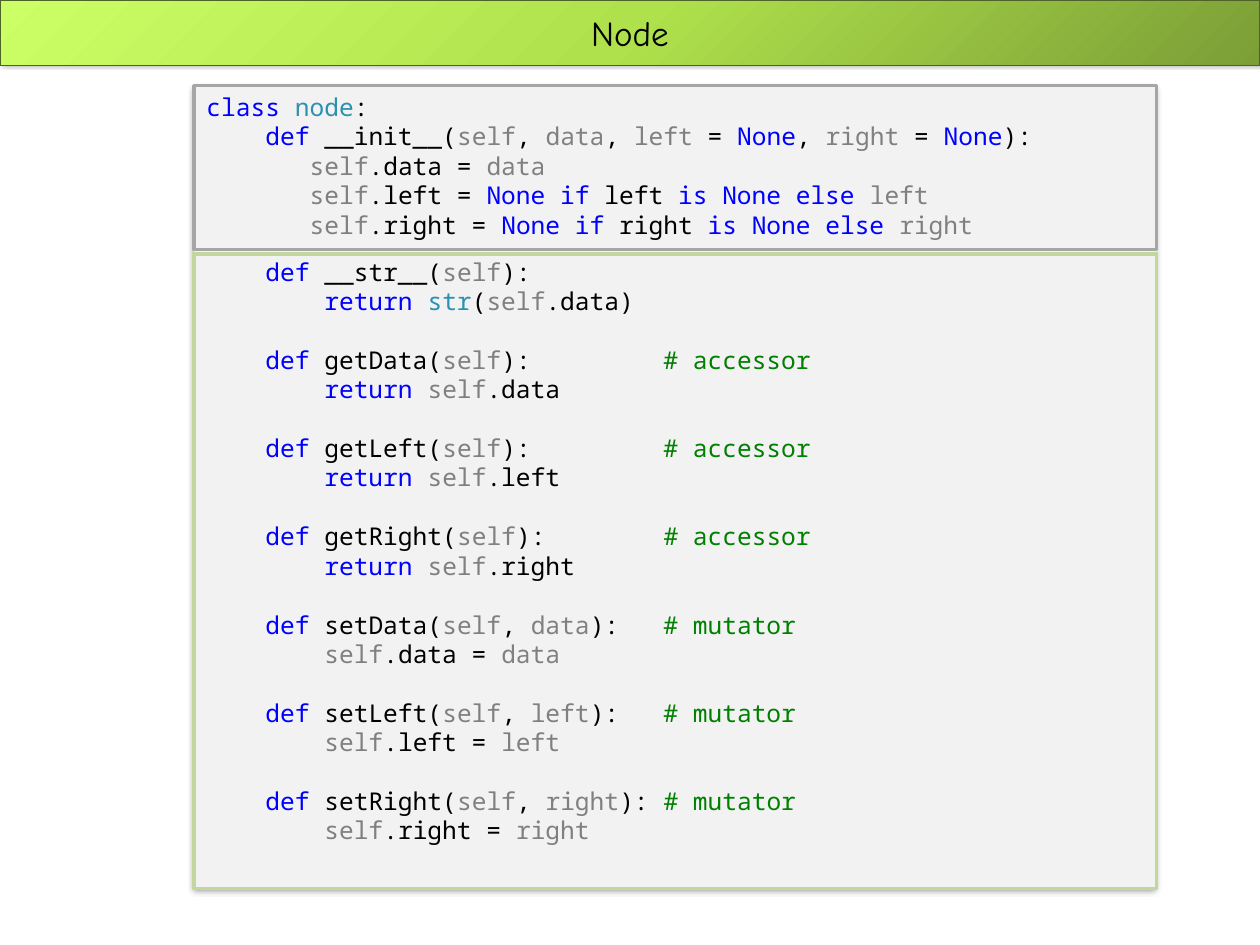
"""Build a slide that shows the Node class with its accessors and mutators."""
from pptx import Presentation
from pptx.dml.color import RGBColor
from pptx.enum.shapes import MSO_SHAPE as SHAPE
from pptx.enum.text import MSO_ANCHOR as ANCHOR, PP_ALIGN as ALIGN
from pptx.oxml import parse_xml
from pptx.oxml.ns import nsdecls
from pptx.util import Pt

BLACK, BLUE, GRAY, TEAL, GREEN = "000000", "0000FF", "808080", "2B91AF", "008000"
LINE_HEIGHT = 16.8
COMMENT_COLUMN = 31


def color(value):
    return RGBColor.from_string(value)


def add_box(left, top, width, height, fill=None, line=None, weight=2, shadow=None):
    box = slide.shapes.add_shape(SHAPE.RECTANGLE, Pt(left), Pt(top), Pt(width), Pt(height))
    box.shadow.inherit = False
    if fill:
        box.fill.solid()
        box.fill.fore_color.rgb = color(fill)
    else:
        box.fill.background()
    if line:
        box.line.color.rgb = color(line)
        box.line.width = Pt(weight)
    else:
        box.line.fill.background()
    if shadow:
        alpha, blur, distance, angle = shadow
        box._element.spPr.find("{*}effectLst").append(parse_xml(
            f'<a:outerShdw {nsdecls("a")} blurRad="{Pt(blur)}" dist="{Pt(distance)}" '
            f'dir="{angle * 60000}" algn="ctr" rotWithShape="0"><a:srgbClr val="000000">'
            f'<a:alpha val="{alpha * 1000}"/></a:srgbClr></a:outerShdw>'))
    return box


deck = Presentation()
deck.slide_width, deck.slide_height = Pt(720), Pt(540)
slide = deck.slides.add_slide(deck.slide_layouts[6])

title = add_box(0, 0, 720, 37.6, "AFE14C", "4F6228", 0.75, (40, 4, 3, 315))
stops = "".join(f'<a:gs pos="{position * 1000}"><a:srgbClr val="{value}"/></a:gs>'
                for position, value in [(0, "7B9E36"), (50, "AFE14C"), (100, "CCFF66")])
plain_fill = title._element.spPr.find("{*}solidFill")
plain_fill.addnext(parse_xml(
    f'<a:gradFill {nsdecls("a")} rotWithShape="1"><a:gsLst>{stops}</a:gsLst>'
    '<a:path path="circle"><a:fillToRect l="100000" t="100000"/></a:path></a:gradFill>'))
title._element.spPr.remove(plain_fill)
title.text_frame.vertical_anchor = ANCHOR.MIDDLE
heading = title.text_frame.paragraphs[0]
heading.text = "Node"
heading.alignment = ALIGN.CENTER
heading.font.name, heading.font.size = "Comic Neue", Pt(20)
heading.font.color.rgb = color(BLACK)

constructor = [
    [("class ", BLUE), ("node", TEAL), (":", BLACK)],
    [("    ", BLACK), ("def", BLUE), (" __init__(", BLACK), ("self", GRAY), (", ", BLACK),
     ("data", GRAY), (", ", BLACK), ("left", GRAY), (" = ", BLACK), ("None", BLUE),
     (", ", BLACK), ("right", GRAY), (" = ", BLACK), ("None", BLUE), ("):", BLACK)],
    [("       ", BLACK), ("self", GRAY), (".data = ", BLACK), ("data", GRAY)],
]
for side in ("left", "right"):
    constructor.append([
        ("       ", BLACK), ("self", GRAY), (f".{side} = ", BLACK), ("None if", BLUE),
        (f" {side} ", BLACK), ("is None else ", BLUE), (side, GRAY)])

methods = [[
    [("    ", BLACK), ("def", BLUE), (" __str__(", BLACK), ("self", GRAY), ("):", BLACK)],
    [("        ", BLACK), ("return ", BLUE), ("str", TEAL), ("(", BLACK), ("self", GRAY),
     (".data)", BLACK)],
]]
for prefix, role in (("get", "# accessor"), ("set", "# mutator")):
    for field in ("data", "left", "right"):
        signature = [("    ", BLACK), ("def ", BLUE), (f"{prefix}{field.title()}(", BLACK),
                     ("self", GRAY)]
        if prefix == "get":
            body = [("        ", BLACK), ("return ", BLUE), ("self", GRAY), (f".{field}", BLACK)]
        else:
            signature += [(", ", BLACK), (field, GRAY)]
            body = [("        ", BLACK), ("self", GRAY), (f".{field} = ", BLACK), (field, GRAY)]
        used = sum(len(text) for text, _ in signature)
        signature += [("):".ljust(COMMENT_COLUMN - used), BLACK), (role, GREEN)]
        methods.append([signature, body])

code = add_box(110.9, 49, 550, 458.6, "F2F2F2", shadow=(38, 3.1, 1.6, 90)).text_frame
code.word_wrap = True
code.vertical_anchor = ANCHOR.TOP
blocks = [constructor] + methods
for block in blocks:
    for code_line in block:
        first = block is constructor and code_line is block[0]
        paragraph = code.paragraphs[0] if first else code.add_paragraph()
        paragraph.alignment = ALIGN.LEFT
        paragraph.font.name, paragraph.font.size = "Noto Sans Mono", Pt(14)
        for text, shade in code_line:
            run = paragraph.add_run()
            run.text = text
            run.font.color.rgb = color(shade)
    if block is not blocks[-1]:
        paragraph.space_after = Pt(10 if block is constructor else LINE_HEIGHT)

add_box(110.9, 145.2, 550, 362.6, line="C3D69B")
add_box(110.9, 49, 550, 93.6, line="A6A6A6")

deck.save("out.pptx")
